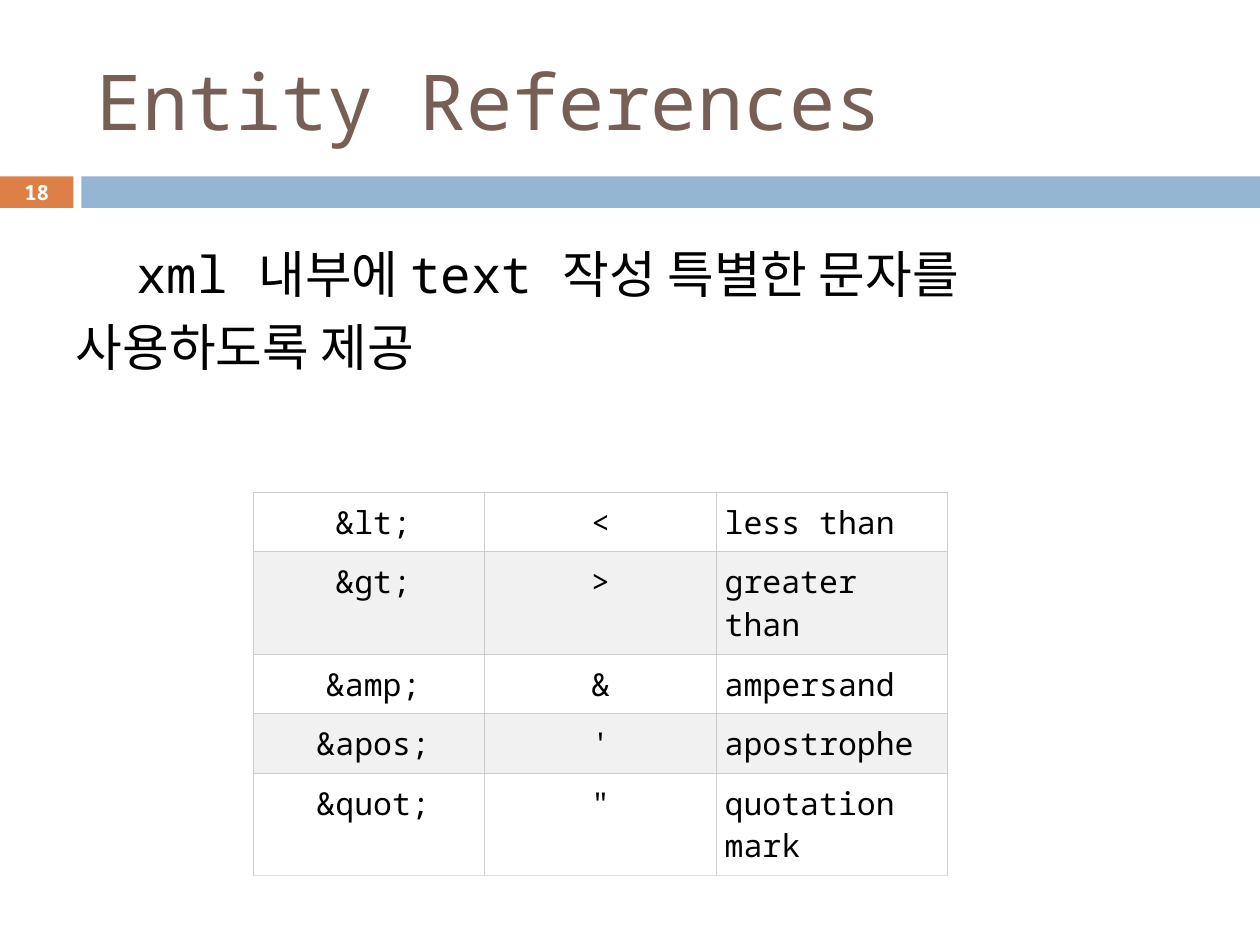
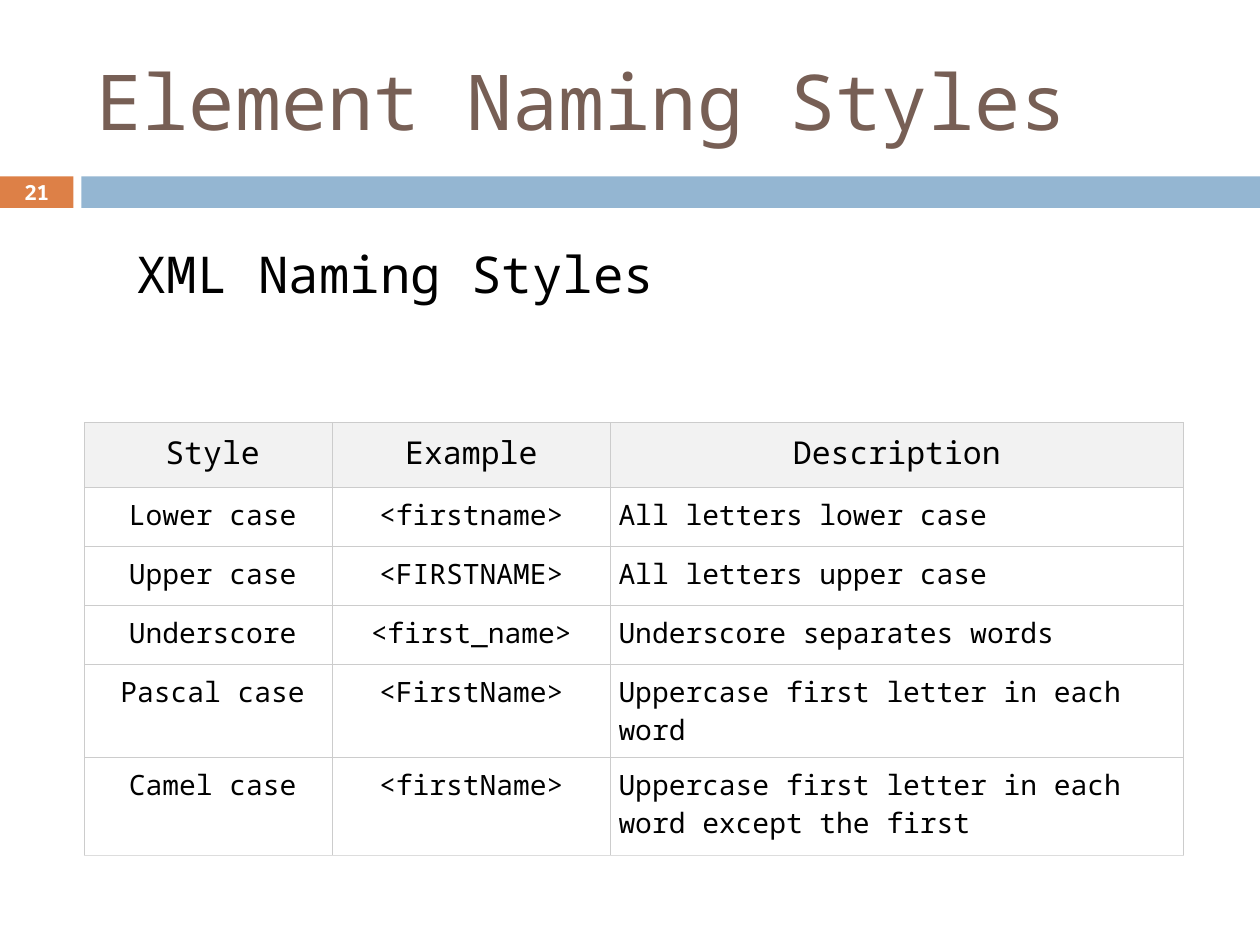
from lxml.etree import SubElement
from pptx import Presentation
from pptx.dml.color import RGBColor
from pptx.enum.shapes import MSO_SHAPE as SHAPE
from pptx.enum.text import MSO_ANCHOR as ANCHOR, MSO_AUTO_SIZE as AUTO, PP_ALIGN as ALIGN
from pptx.oxml.ns import qn
from pptx.util import Pt

ORANGE = RGBColor(0xDD, 0x80, 0x47)
BLUE = RGBColor(0x94, 0xB6, 0xD2)
BROWN = RGBColor(0x77, 0x5F, 0x55)
BLACK = RGBColor(0x00, 0x00, 0x00)
WHITE = RGBColor(0xFF, 0xFF, 0xFF)
STRIPE = RGBColor(0xF1, 0xF1, 0xF1)
HEADER = RGBColor(0xF2, 0xF2, 0xF2)
GRID = RGBColor(0xCC, 0xCC, 0xCC)
GRID_END = RGBColor(0xDD, 0xDD, 0xDD)

ENTITIES = [
    ("&lt;", "<", "less than"),
    ("&gt;", ">", "greater than"),
    ("&amp;", "&", "ampersand"),
    ("&apos;", "'", "apostrophe"),
    ("&quot;", '"', "quotation mark"),
]
NAMING_STYLES = [
    ("Style", "Example", "Description"),
    ("Lower case", "<firstname>", "All letters lower case"),
    ("Upper case", "<FIRSTNAME>", "All letters upper case"),
    ("Underscore", "<first_name>", "Underscore separates words"),
    ("Pascal case", "<FirstName>", "Uppercase first letter in each word"),
    ("Camel case", "<firstName>", "Uppercase first letter in each word except the first"),
]


class Deck:
    font = "Noto Sans Mono"

    def __init__(self):
        self.prs = Presentation()
        self.prs.slide_width, self.prs.slide_height = Pt(720), Pt(540)
        self.slide = None

    def add_slide(self, title, body, number):
        self.slide = self.prs.slides.add_slide(self.prs.slide_layouts[1])
        self.band(0, 42, ORANGE)
        self.band(46.5, 673.5, BLUE)
        self.title(title)
        self.body(body)
        self.number(number)

    def place(self, sp, left, top, width, height):
        sp.left, sp.top, sp.width, sp.height = Pt(left), Pt(top), Pt(width), Pt(height)

    def set_text(self, tf, text, size, color, align=ALIGN.LEFT, bold=False):
        tf.text = text
        p = tf.paragraphs[0]
        p.alignment = align
        for r in p.runs:
            r.font.name, r.font.size, r.font.bold = self.font, Pt(size), bold
            r.font.color.rgb = color
        return p

    def band(self, left, width, color):
        sp = self.slide.shapes.add_shape(SHAPE.RECTANGLE, Pt(left), Pt(100.8), Pt(width), Pt(18))
        sp.shadow.inherit = False
        sp.fill.solid()
        sp.fill.fore_color.rgb = color
        sp.line.fill.background()

    def title(self, text):
        sp = self.slide.shapes.title
        self.place(sp, 48, 18, 642, 78)
        tf = sp.text_frame
        tf.auto_size, tf.vertical_anchor = AUTO.NONE, ANCHOR.MIDDLE
        self.set_text(tf, text, 44, BROWN)

    def body(self, text):
        sp = self.slide.placeholders[1]
        self.place(sp, 36, 128, 648, 108)
        tf = sp.text_frame
        tf.auto_size = AUTO.NONE
        p = self.set_text(tf, text, 29, BLACK)
        pPr = p._p.get_or_add_pPr()
        pPr.set("marL", "0")
        pPr.set("indent", str(Pt(34.8)))
        SubElement(pPr, qn("a:buNone"))
        p.line_spacing, p.space_before = 1.2, Pt(0)

    def number(self, number):
        sp = self.slide.shapes.add_textbox(Pt(0), Pt(100), Pt(42), Pt(19.5))
        tf = sp.text_frame
        tf.word_wrap, tf.vertical_anchor = True, ANCHOR.MIDDLE
        tf.margin_top = tf.margin_bottom = 0
        self.set_text(tf, str(number), 11.9, WHITE, ALIGN.CENTER, True)

    def borders(self, cell, bottom):
        tcPr = cell._tc.get_or_add_tcPr()
        for side in "LRTB":
            ln = SubElement(tcPr, qn(f"a:ln{side}"), w=str(Pt(0.6)))
            fill = SubElement(ln, qn("a:solidFill"))
            SubElement(fill, qn("a:srgbClr"), val=str(bottom if side == "B" else GRID))

    def table(self, rows, left, top, widths, heights, fills, header=False):
        frame = self.slide.shapes.add_table(len(rows), len(widths), Pt(left), Pt(top),
                                            Pt(sum(widths)), Pt(sum(heights)))
        tbl = frame.table
        tbl.first_row, tbl.horz_banding = header, False
        for col, width in zip(tbl.columns, widths):
            col.width = Pt(width)
        for i, (texts, height, fill) in enumerate(zip(rows, heights, fills)):
            tbl.rows[i].height = Pt(height)
            is_header = header and i == 0
            for j, text in enumerate(texts):
                cell = tbl.cell(i, j)
                cell.margin_left = Pt(9.6 if j == 0 else 4.8)
                cell.margin_right = cell.margin_top = cell.margin_bottom = Pt(4.8)
                self.borders(cell, GRID_END if i == len(rows) - 1 else GRID)
                cell.fill.solid()
                cell.fill.fore_color.rgb = fill
                size = 16 if header and not is_header else 18
                align = ALIGN.CENTER if j < 2 or is_header else ALIGN.LEFT
                self.set_text(cell.text_frame, text, size, BLACK, align)


def main():
    deck = Deck()
    deck.add_slide("Entity References", "xml 내부에 text 작성 특별한 문자를 사용하도록 제공", 18)
    deck.table(ENTITIES, 144.7, 281.3, [132.3] * 3, [34, 58.5, 34, 34, 58.5],
               [WHITE, STRIPE, WHITE, STRIPE, WHITE])
    deck.add_slide("Element Naming Styles", "XML Naming Styles", 21)
    deck.table(NAMING_STYLES, 48.2, 241.6, [141.8, 158.7, 327.6],
               [36.9] + [33.75] * 3 + [53, 56.4], [HEADER] + [WHITE] * 5, header=True)
    deck.prs.save("out.pptx")


if __name__ == "__main__":
    main()
